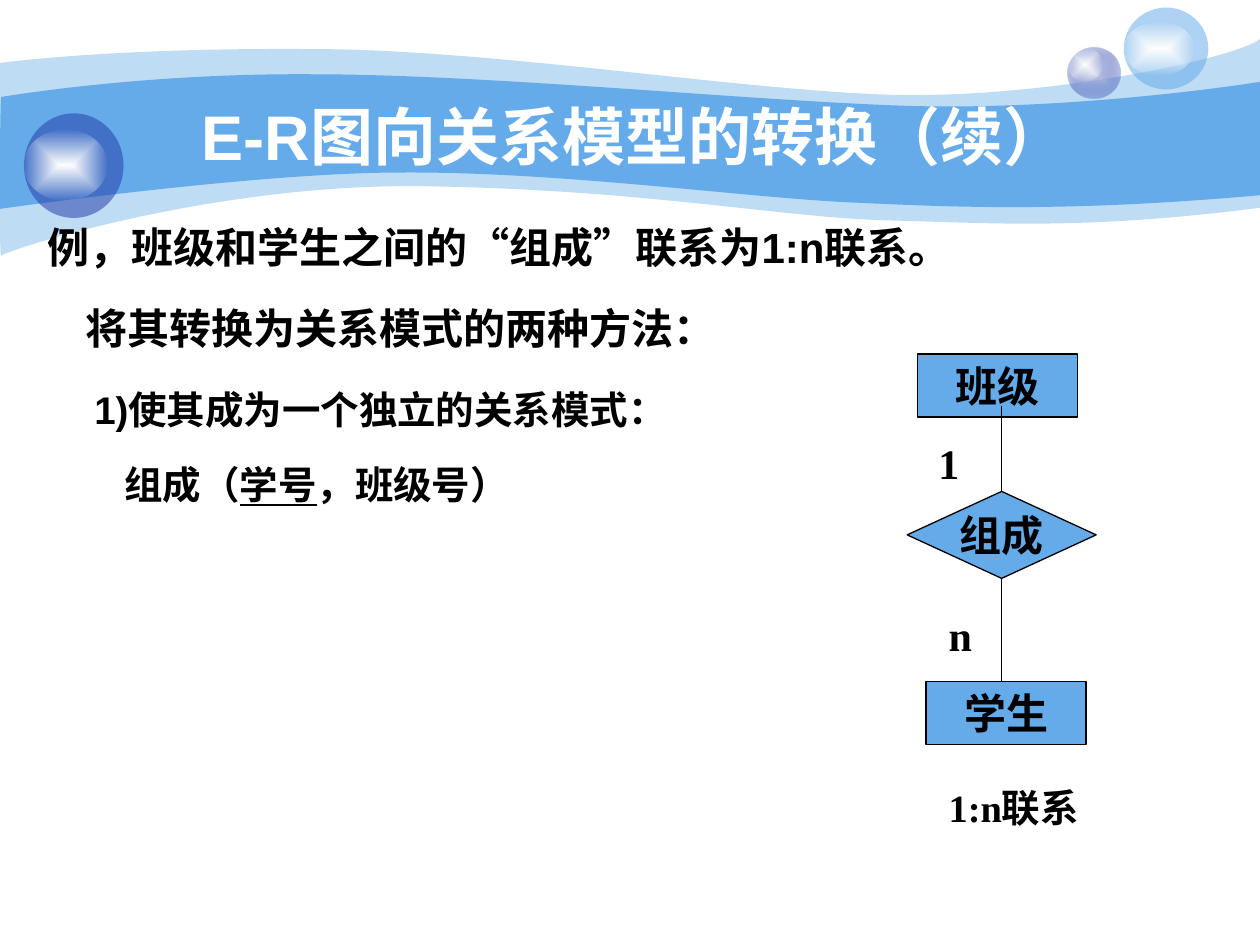
from itertools import chain

from lxml import etree
from pptx import Presentation
from pptx.dml.color import RGBColor
from pptx.enum.shapes import MSO_CONNECTOR, MSO_SHAPE
from pptx.enum.text import MSO_ANCHOR, PP_ALIGN
from pptx.oxml.ns import qn
from pptx.util import Inches, Pt

SKY, NAVY, WHITE, BLACK = "65AAE9", "233DA9", "FFFFFF", "000000"
SERIF = "Times New Roman"

# Each wave: start point, then curves (two control points and an end) or lines
PALE_WAVE = [
    [(0, 0.5)],
    [(0.24, 0.47), (1.07, 0.38), (2.47, 0.39)],
    [(3.86, 0.39), (5.75, 0.7), (6.99, 0.75)],
    [(8.22, 0.8), (9.8, 0.47), (10, 0.31)],
    [(10, 1.65)],
    [(8.58, 1.83), (7.87, 1.77), (7.05, 1.75)],
    [(6.22, 1.73), (5.15, 1.51), (3.43, 1.48)],
    [(1.72, 1.44), (0.04, 1.99), (0.01, 2.03)],
    [(-0.01, 2.08), (0, 0.75), (0, 0.5)],
]
BRIGHT_WAVE = [
    [(0.01, 0.77)],
    [(0.02, 0.77), (1.1, 0.58), (2.48, 0.59)],
    [(3.86, 0.59), (5.95, 0.8), (7.18, 0.84)],
    [(8.41, 0.88), (9.76, 0.69), (10, 0.65)],
    [(10, 1.55)],
    [(8.53, 1.68), (7.65, 1.65), (6.82, 1.61)],
    [(5.99, 1.58), (4.47, 1.36), (3.17, 1.37)],
    [(2.03, 1.37), (-0.02, 1.66), (-0.01, 1.66)],
    [(0, 1.66), (0, 0.77), (0.01, 0.77)],
]


def color(hex_string):
    return RGBColor.from_string(hex_string)


def add_alpha(color_element, percent):
    etree.SubElement(color_element, qn("a:alpha")).set("val", str(percent * 1000))


def paint(shape, fill, opacity=100, outline=None):
    shape.shadow.inherit = False
    shape.fill.solid()
    shape.fill.fore_color.rgb = color(fill)
    if opacity < 100:
        add_alpha(shape._element.spPr.find(qn("a:solidFill"))[0], opacity)
    if outline:
        shape.line.color.rgb = color(outline)
        shape.line.width = Pt(0.75)
    else:
        shape.line.fill.background()


def paint_glow(shape, center, edge, edge_opacity):
    """Fill from the centre outwards, with a partly transparent edge."""
    paint(shape, center)
    properties = shape._element.spPr
    gradient = etree.Element(qn("a:gradFill"), rotWithShape="1")
    stops = etree.SubElement(gradient, qn("a:gsLst"))
    for position, value, opacity in ((0, center, 100), (100, edge, edge_opacity)):
        stop = etree.SubElement(stops, qn("a:gs"), pos=str(position * 1000))
        add_alpha(etree.SubElement(stop, qn("a:srgbClr"), val=value), opacity)
    shade = etree.SubElement(gradient, qn("a:path"))
    shade.set("path", "rect")
    etree.SubElement(shade, qn("a:fillToRect"), l="50000", t="50000", r="50000", b="50000")
    properties.replace(properties.find(qn("a:solidFill")), gradient)


def add_text(paragraph, text, size=24, font=SERIF, ink=BLACK, align=None, underline=None):
    if align is not None:
        paragraph.alignment = align
    run = paragraph.add_run()
    run.text = text
    run.font.size = Pt(size)
    run.font.name = font
    run.font.bold = True
    run.font.underline = underline
    run.font.color.rgb = color(ink)


def add_text_box(slide, left, top, width, height, anchor=MSO_ANCHOR.TOP):
    box = slide.shapes.add_textbox(Inches(left), Inches(top), Inches(width), Inches(height))
    box.text_frame.word_wrap = True
    box.text_frame.vertical_anchor = anchor
    return box.text_frame


def add_shape(slide, kind, left, top, width, height):
    return slide.shapes.add_shape(kind, Inches(left), Inches(top), Inches(width), Inches(height))


def add_wave(slide, left, top, pieces, opacity):
    points = [(Inches(left + x), Inches(top + y)) for x, y in chain(*pieces)]
    builder = slide.shapes.build_freeform(*points[0])
    builder.add_line_segments(points[1:], close=True)
    wave = builder.convert_to_shape()
    # Join the three lines of each curved piece into one curve
    lines = iter(list(wave._element.spPr.iter(qn("a:lnTo"))))
    for piece in pieces[1:]:
        segment = [next(lines) for _ in piece]
        if len(segment) == 3:
            curve = etree.Element(qn("a:cubicBezTo"))
            segment[0].addprevious(curve)
            for line in segment:
                curve.append(line[0])
                line.getparent().remove(line)
    paint(wave, SKY, opacity)


def add_bubble(slide, left, top, width, height, fill, opacity, shine):
    """Draw a ball and its shine, given as top offset, width and height."""
    ball = add_shape(slide, MSO_SHAPE.OVAL, left, top, width, height)
    if fill:
        paint(ball, fill, opacity)
    else:
        paint_glow(ball, "C7CEE9", NAVY, opacity)
    offset, shine_width, shine_height = shine
    spot = add_shape(slide, MSO_SHAPE.OVAL, left, top + offset, shine_width, shine_height)
    paint_glow(spot, WHITE, WHITE, 0)


def add_header(slide, left, top):
    add_wave(slide, left, top, PALE_WAVE, 41)
    add_wave(slide, left, top, BRIGHT_WAVE, 100)
    add_bubble(slide, left + 8.47, top + 0.38, 0.42, 0.4, None, 31, (0, 0.28, 0.27))
    add_bubble(slide, left + 8.92, top + 0.06, 0.67, 0.65, SKY, 53, (0.11, 0.56, 0.43))
    add_bubble(slide, left + 0.19, top + 0.9, 0.79, 0.83, NAVY, 53, (0.13, 0.66, 0.56))
    frame = add_text_box(slide, left + 0.99, top + 0.76, 8.08, 0.62, MSO_ANCHOR.MIDDLE)
    add_text(frame.paragraphs[0], "E-R图向关系模型的转换（续）",
             size=36, font="Arial", ink=WHITE, align=PP_ALIGN.CENTER)


def add_body(slide, left, top, width, height):
    frame = add_text_box(slide, left, top, width, height)
    # Indent, size, space before, and runs with their underline
    lines = [
        (0, 24, 0, [("例，班级和学生之间的“组成”联系为1:n联系。", None)]),
        (0.3, 24, 6, [("将其转换为关系模式的两种方法：", None)]),
        (0.37, 22, 8.4, [("1)使其成为一个独立的关系模式：", None)]),
        (0.61, 22, 5.8, [("组成（", None), ("学号", True), ("，班级号）", None)]),
    ]
    for index, (indent, size, space, runs) in enumerate(lines):
        paragraph = frame.add_paragraph() if index else frame.paragraphs[0]
        paragraph.line_spacing = 1.4
        if space:
            paragraph.space_before = Pt(space)
        paragraph._p.get_or_add_pPr().set("marL", str(Inches(indent)))
        for text, underline in runs:
            add_text(paragraph, text, size=size, font="Arial", underline=underline)


def add_relation_diagram(slide, left, top):
    # Entities and the relationship between them
    for kind, text, x, y, width, height in (
        (MSO_SHAPE.RECTANGLE, "班级", 0.08, 0, 1.27, 0.5),
        (MSO_SHAPE.DIAMOND, "组成", 0, 1.09, 1.5, 0.69),
        (MSO_SHAPE.RECTANGLE, "学生", 0.15, 2.6, 1.27, 0.5),
    ):
        node = add_shape(slide, kind, left + x, top + y, width, height)
        paint(node, SKY, outline=BLACK)
        node.text_frame.word_wrap = kind == MSO_SHAPE.RECTANGLE
        node.text_frame.vertical_anchor = MSO_ANCHOR.MIDDLE
        add_text(node.text_frame.paragraphs[0], text, align=PP_ALIGN.CENTER)
    # Links
    middle = Inches(left + 0.75)
    for start, end in ((1.09, 0.41), (1.78, 2.6)):
        link = slide.shapes.add_connector(
            MSO_CONNECTOR.STRAIGHT, middle, Inches(top + start), middle, Inches(top + end))
        link.line.color.rgb = color(BLACK)
        link.line.width = Pt(0.75)
        etree.SubElement(link._element.spPr, qn("a:effectLst"))
    # Cardinalities and caption
    for text, x, y, width, height, size in (
        ("1", 0.15, 0.61, 0.37, 0.5, 24),
        ("n", 0.23, 1.98, 0.37, 0.5, 24),
        ("1:n联系", 0.23, 3.36, 1.35, 0.47, 22),
    ):
        frame = add_text_box(slide, left + x, top + y, width, height)
        add_text(frame.paragraphs[0], text, size=size)


def main():
    presentation = Presentation()
    presentation.slide_width, presentation.slide_height = Inches(10), Inches(7.5)
    slide = presentation.slides.add_slide(presentation.slide_layouts[6])
    add_header(slide, 0, 0)
    add_body(slide, 0.28, 1.55, 9.45, 5.67)
    add_relation_diagram(slide, 7.2, 2.81)
    presentation.save("out.pptx")


if __name__ == "__main__":
    main()
